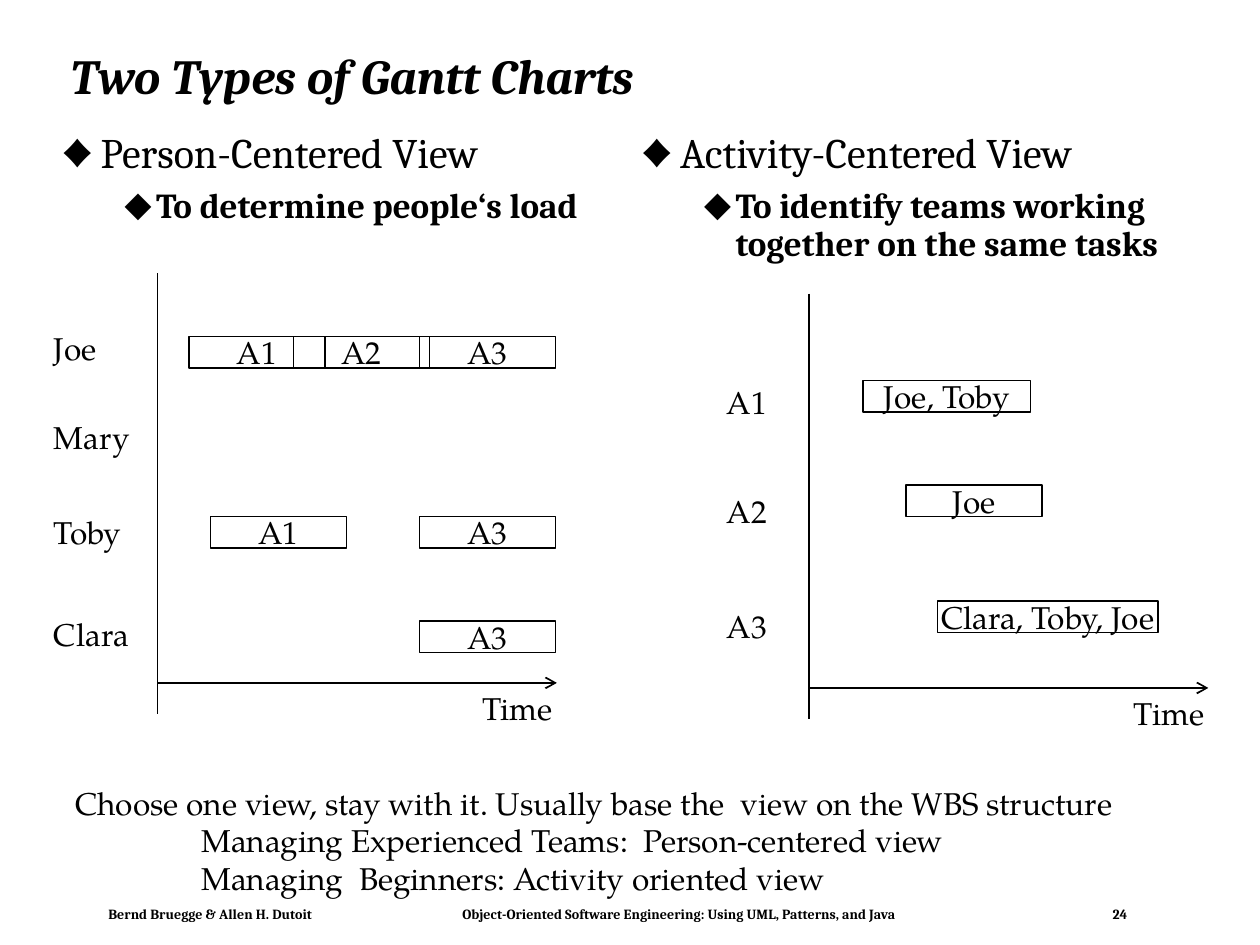
from lxml.etree import SubElement
from pptx import Presentation
from pptx.dml.color import RGBColor
from pptx.enum.shapes import MSO_CONNECTOR, MSO_SHAPE
from pptx.enum.text import MSO_ANCHOR, PP_ALIGN
from pptx.oxml.ns import qn
from pptx.util import Inches, Pt

HEADING_FONT = "Cambria"
BODY_FONT = "TeX Gyre Pagella"
BLACK = "000000"
WHITE = "FFFFFF"
BAR_HEIGHT = 0.25
AXIS_LENGTH = 3.17

PERSON_ROWS = [
    ("Joe", 0.39, 0.5, [("A1", 0.25, 1.08), ("A3", 2.08, 1.08), ("A2", 1.08, 1.08)]),
    ("Mary", 1.1, None, []),
    ("Toby", 1.85, 1.93, [("A1", 0.42, 1.08), ("A3", 2.08, 1.08)]),
    ("Clara", 2.66, 2.76, [("A3", 2.08, 1.08)]),
]
ACTIVITY_ROWS = [
    ("A1", 0.66, 0.69, [("Joe, Toby", 0.43, 1.33)]),
    ("A2", 1.53, 1.52, [("Joe", 0.77, 1.08)]),
    ("A3", 2.44, 2.44, [("Clara, Toby, Joe", 1.02, 1.75)]),
]


def color(value):
    """Turn a hex string into a colour."""
    return RGBColor.from_string(value)


def style(paragraph, name, size, bold=False, italic=False):
    """Set the font of a whole paragraph."""
    font = paragraph.font
    font.name, font.size, font.bold, font.italic = name, Pt(size), bold, italic
    font.color.rgb = color(BLACK)


def add_text(slide, left, top, width, height, lines):
    """Add a wrapping text box with one paragraph per line and return its frame."""
    box = slide.shapes.add_textbox(Inches(left), Inches(top), Inches(width), Inches(height))
    frame = box.text_frame
    frame.word_wrap = True
    frame.text = "\n".join(lines)
    return frame


def add_label(slide, left, top, text):
    """Add a short label in the body font."""
    frame = add_text(slide, left, top, 0.82, 0.4, [text])
    style(frame.paragraphs[0], BODY_FONT, 18)


def add_axis(slide, start, end, arrow=False):
    """Draw a thin axis line, with an arrowhead at its end if asked."""
    line = slide.shapes.add_connector(
        MSO_CONNECTOR.STRAIGHT, *(Inches(value) for value in (*start, *end)))
    line.line.color.rgb = color(BLACK)
    line.line.width = Pt(1)
    if arrow:
        SubElement(line.line._get_or_add_ln(), qn("a:tailEnd"), type="arrow")
    SubElement(line._element.spPr, qn("a:effectLst"))


def add_bar(slide, left, top, width, text, filled):
    """Add one outlined bar with a centred name."""
    bar = slide.shapes.add_shape(
        MSO_SHAPE.RECTANGLE, Inches(left), Inches(top), Inches(width), Inches(BAR_HEIGHT))
    bar.shadow.inherit = False
    if filled:
        bar.fill.solid()
        bar.fill.fore_color.rgb = color(WHITE)
    else:
        bar.fill.background()
    bar.line.color.rgb = color(BLACK)
    bar.line.width = Pt(1)
    frame = bar.text_frame
    frame.word_wrap = False
    frame.vertical_anchor = MSO_ANCHOR.MIDDLE
    frame.text = text
    paragraph = frame.paragraphs[0]
    paragraph.alignment = PP_ALIGN.CENTER
    style(paragraph, BODY_FONT, 18)


def add_gantt(slide, left, top, height, label_offset, rows):
    """Draw a Gantt chart whose vertical axis starts at left, top."""
    time_top = top + height - 0.25
    add_axis(slide, (left, top), (left, top + height))
    add_axis(slide, (left, time_top), (left + AXIS_LENGTH, time_top), arrow=True)
    add_label(slide, left + 2.48, time_top, "Time")
    for label, label_top, bar_top, bars in rows:
        add_label(slide, left - label_offset, top + label_top, label)
        for text, offset, width in bars:
            add_bar(slide, left + offset, top + bar_top, width, text, text != "A2")


def add_bullet(paragraph, character, margin, indent, percent):
    """Give a paragraph a hanging bullet."""
    properties = paragraph._p.get_or_add_pPr()
    properties.set("marL", str(Inches(margin)))
    properties.set("indent", str(Inches(-indent)))
    bullet_color = SubElement(properties, qn("a:buClr"))
    SubElement(bullet_color, qn("a:srgbClr"), val=BLACK)
    SubElement(properties, qn("a:buSzPct"), val=str(percent * 1000))
    SubElement(properties, qn("a:buFont"), typeface=HEADING_FONT)
    SubElement(properties, qn("a:buChar"), char=character)


def add_view(slide, left, top, name, purpose):
    """Add the bulleted name and purpose of one view."""
    frame = add_text(slide, left, top, 4.43, 5.25, [name, purpose])
    heading, detail = frame.paragraphs
    detail.level = 1
    add_bullet(heading, "♦", 0.31, 0.31, 75)
    add_bullet(detail, "◆", 0.75, 0.25, 100)
    style(heading, HEADING_FONT, 24)
    style(detail, HEADING_FONT, 20, bold=True)
    for paragraph, space in ((heading, 7.2), (detail, 6)):
        paragraph.line_spacing = 0.9
        paragraph.space_before = Pt(space)


def add_title(slide, left, top, text):
    """Add the slide title."""
    frame = add_text(slide, left, top, 8.92, 0.77, [text])
    frame.vertical_anchor = MSO_ANCHOR.MIDDLE
    frame.paragraphs[0].line_spacing = 0.9
    style(frame.paragraphs[0], HEADING_FONT, 28, bold=True, italic=True)


def add_advice(slide, left, top, lines):
    """Add the closing advice, with every line after the first indented."""
    frame = add_text(slide, left, top, 8.6, 1, lines)
    for paragraph in frame.paragraphs:
        style(paragraph, BODY_FONT, 18)
    for paragraph in frame.paragraphs[1:]:
        paragraph._p.get_or_add_pPr().set("marL", str(Inches(1)))


def add_footer(slide, left, top, parts):
    """Add the footer line, its parts set apart by tab stops."""
    frame = add_text(slide, left, top, 8.27, 0.21, ["\t".join(parts)])
    frame.margin_left = frame.margin_right = Inches(0.08)
    frame.margin_top = frame.margin_bottom = Inches(0.04)
    paragraph = frame.paragraphs[0]
    tabs = SubElement(paragraph._p.get_or_add_pPr(), qn("a:tabLst"))
    for position in (2.81, 7.97):
        SubElement(tabs, qn("a:tab"), pos=str(Inches(position)), algn="l")
    style(paragraph, HEADING_FONT, 8, bold=True)


def main():
    """Build and save the slide."""
    presentation = Presentation()
    presentation.slide_width, presentation.slide_height = Inches(10), Inches(7.5)
    slide = presentation.slides.add_slide(presentation.slide_layouts[6])
    add_footer(slide, 0.78, 7.15, [
        "Bernd Bruegge & Allen H. Dutoit",
        "Object-Oriented Software Engineering: Using UML, Patterns, and Java",
        "24",
    ])
    add_title(slide, 0.46, 0.24, "Two Types of Gantt Charts")
    add_view(slide, 0.39, 1, "Person-Centered View", "To determine people‘s load")
    add_view(slide, 4.99, 1, "Activity-Centered View",
             "To identify teams working together on the same tasks")
    add_gantt(slide, 1.25, 2.17, 3.5, 0.92, PERSON_ROWS)
    add_gantt(slide, 6.42, 2.33, 3.38, 0.75, ACTIVITY_ROWS)
    add_advice(slide, 0.5, 6.17, [
        "Choose one view, stay with it. Usually base the  view on the WBS structure",
        "Managing Experienced Teams:  Person-centered view",
        "Managing  Beginners: Activity oriented view",
    ])
    presentation.save("out.pptx")


if __name__ == "__main__":
    main()
